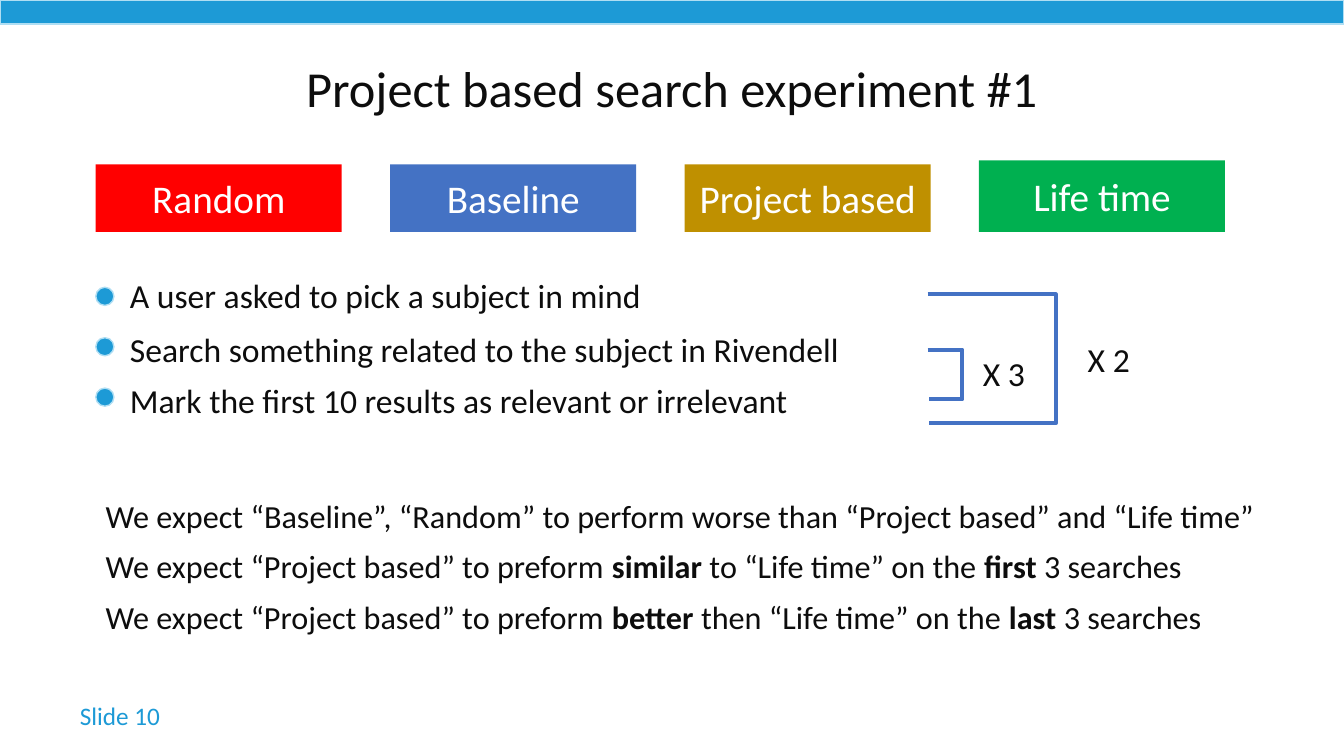
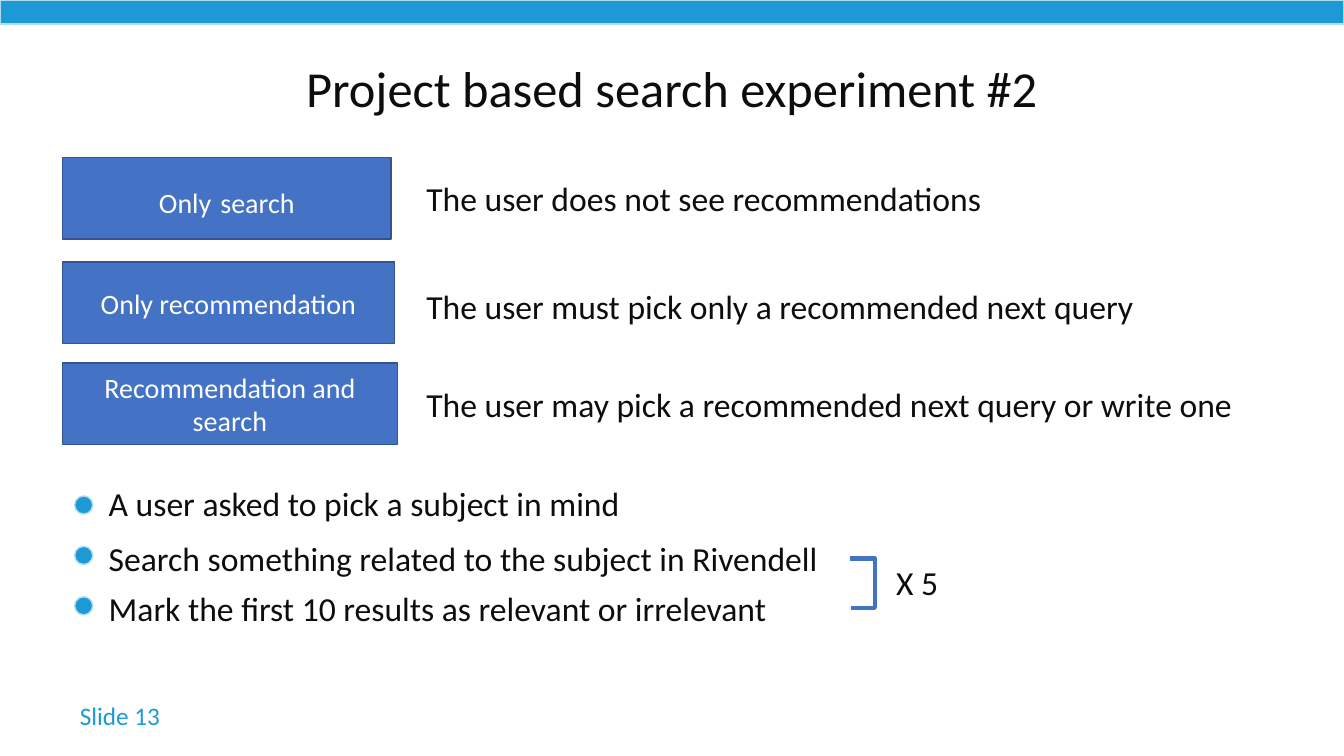
"""Build two slides that describe the project based search experiments."""
from dataclasses import dataclass

from lxml.etree import SubElement
from pptx import Presentation
from pptx.dml.color import RGBColor
from pptx.enum.shapes import MSO_CONNECTOR as Connector, MSO_SHAPE as Shape
from pptx.enum.text import MSO_ANCHOR as Anchor, PP_ALIGN as Align
from pptx.oxml.ns import qn
from pptx.util import Emu, Pt

PX = 9144


@dataclass(frozen=True)
class Theme:
    font: str = "Calibri"
    ink: str = "0D0D0D"
    white: str = "FFFFFF"
    accent: str = "1D9AD6"
    accent_edge: str = "AFDEF3"
    blue: str = "4472C4"
    blue_edge: str = "325491"
    red: str = "FF0000"
    gold: str = "BF9000"
    green: str = "00B050"
    title: int = 36
    method: int = 28
    body: int = 24
    expectation: int = 23
    mode: int = 20
    footer: int = 18


theme = Theme()


def add_box(slide, area, text="", size=theme.body, color=theme.ink, align=Align.LEFT,
            fill=None, edge=theme.white, outline=Shape.RECTANGLE):
    """Add a shape whose text marks bold parts with asterisks."""
    box = slide.shapes.add_shape(outline, *(Emu(n * PX) for n in area))
    box.shadow.inherit = False
    if fill:
        box.fill.solid()
        box.fill.fore_color.rgb = RGBColor.from_string(fill)
    else:
        box.fill.background()
    if edge:
        box.line.color.rgb = RGBColor.from_string(edge)
        box.line.width = Pt(1)
    else:
        box.line.fill.background()
    if text:
        frame = box.text_frame
        frame.word_wrap = True
        frame.vertical_anchor = Anchor.MIDDLE
        paragraph = frame.paragraphs[0]
        paragraph.alignment = align
        for index, part in enumerate(text.split("*")):
            run = paragraph.add_run()
            run.text = part
            run.font.name = theme.font
            run.font.size = Pt(size)
            run.font.bold = index % 2 == 1
            run.font.color.rgb = RGBColor.from_string(color)
    return box


def add_bracket(slide, left, top, bottom, reach):
    """Add an elbow connector that bulges to the right by reach."""
    span = 1
    bracket = slide.shapes.add_connector(
        Connector.ELBOW, *(Emu(n * PX) for n in (left, top, left + span, bottom)))
    bracket.line.color.rgb = RGBColor.from_string(theme.blue)
    bracket.line.width = Pt(3)
    properties = bracket._element.spPr
    guides = properties.find(qn("a:prstGeom")).get_or_add_avLst()
    SubElement(guides, qn("a:gd"), name="adj1", fmla=f"val {reach * 100000 // span}")
    SubElement(properties, qn("a:effectLst"))


deck = Presentation()
deck.slide_width, deck.slide_height = Emu(1333 * PX), Emu(750 * PX)

steps = [
    ("A user asked to pick a subject in mind", 0),
    ("Search something related to the subject in Rivendell", 54),
    ("Mark the first 10 results as relevant or irrelevant", 104),
]
experiments = [(1, 10, 95, 268, (803, 801, 801)), (2, 13, 74, 475, (803, 745, 745))]
slides = []
for experiment, number, steps_left, steps_top, step_widths in experiments:
    slide = deck.slides.add_slide(deck.slide_layouts[6])
    slides.append(slide)
    add_box(slide, (0, 0, 1333, 24), fill=theme.accent, edge=theme.accent_edge)
    add_box(slide, (62, 685, 114, 49), f"Slide {number}", theme.footer,
            theme.accent, Align.CENTER)
    add_box(slide, (0, 62, 1333, 49), f"Project based search experiment #{experiment}",
            theme.title, align=Align.CENTER)
    for row, ((step, offset), width) in enumerate(zip(steps, step_widths)):
        add_box(slide, (steps_left, steps_top + 17 + 50 * row, 18, 18),
                fill=theme.accent, edge=theme.accent_edge, outline=Shape.OVAL)
        add_box(slide, (steps_left + 24, steps_top + offset, width, 49), step)

first, second = slides

repeats = [
    (first, (920, 347, 396, 35), "X 3", 965, 346, 64),
    (first, (920, 292, 420, 129), "X 2", 1069, 332, 64),
    (second, (843, 554, 603, 25), "X 5", 879, 553, 69),
]
for slide, bracket, times, left, top, width in repeats:
    add_bracket(slide, *bracket)
    add_box(slide, (left, top, width, 49), times)

methods = [
    ("Random", theme.red, 163),
    ("Baseline", theme.blue, 163),
    ("Project based", theme.gold, 163),
    ("Life time", theme.green, 159),
]
for column, (method, fill, top) in enumerate(methods):
    add_box(first, (95 + 292 * column, top, 244, 230 - top), method, theme.method,
            theme.white, Align.CENTER, fill, edge=None)

expectations = [
    ("We expect “Baseline”, “Random” to perform worse than “Project based” and “Life time”", 1182),
    ("We expect “Project based” to preform *similar* to “Life time” on the *first* 3 searches", 1133),
    ("We expect “Project based” to preform *better* then “Life time” on the *last* 3 searches", 1133),
]
for row, (expectation, width) in enumerate(expectations):
    add_box(first, (95, 487 + 50 * row, width, 49), expectation, theme.expectation)

modes = [
    ("Only* *search", 156, 326, "The user does not see recommendations", 172, 801),
    ("Only recommendation", 260, 329,
     "The user must pick only a recommended next query", 279, 801),
    ("Recommendation and search", 360, 332,
     "The user may pick a recommended next query or write one", 376, 835),
]
mode_boxes = []
for mode, top, width, meaning, meaning_top, meaning_width in modes:
    mode_boxes.append(add_box(second, (62, top, width, 81), mode, theme.mode, theme.white,
                              Align.CENTER, theme.blue, theme.blue_edge))
    add_box(second, (413, meaning_top, meaning_width, 49), meaning)
word_gap = mode_boxes[0].text_frame.paragraphs[0].runs[1].font
word_gap.size, word_gap.bold = Pt(theme.method), False

deck.save("out.pptx")
